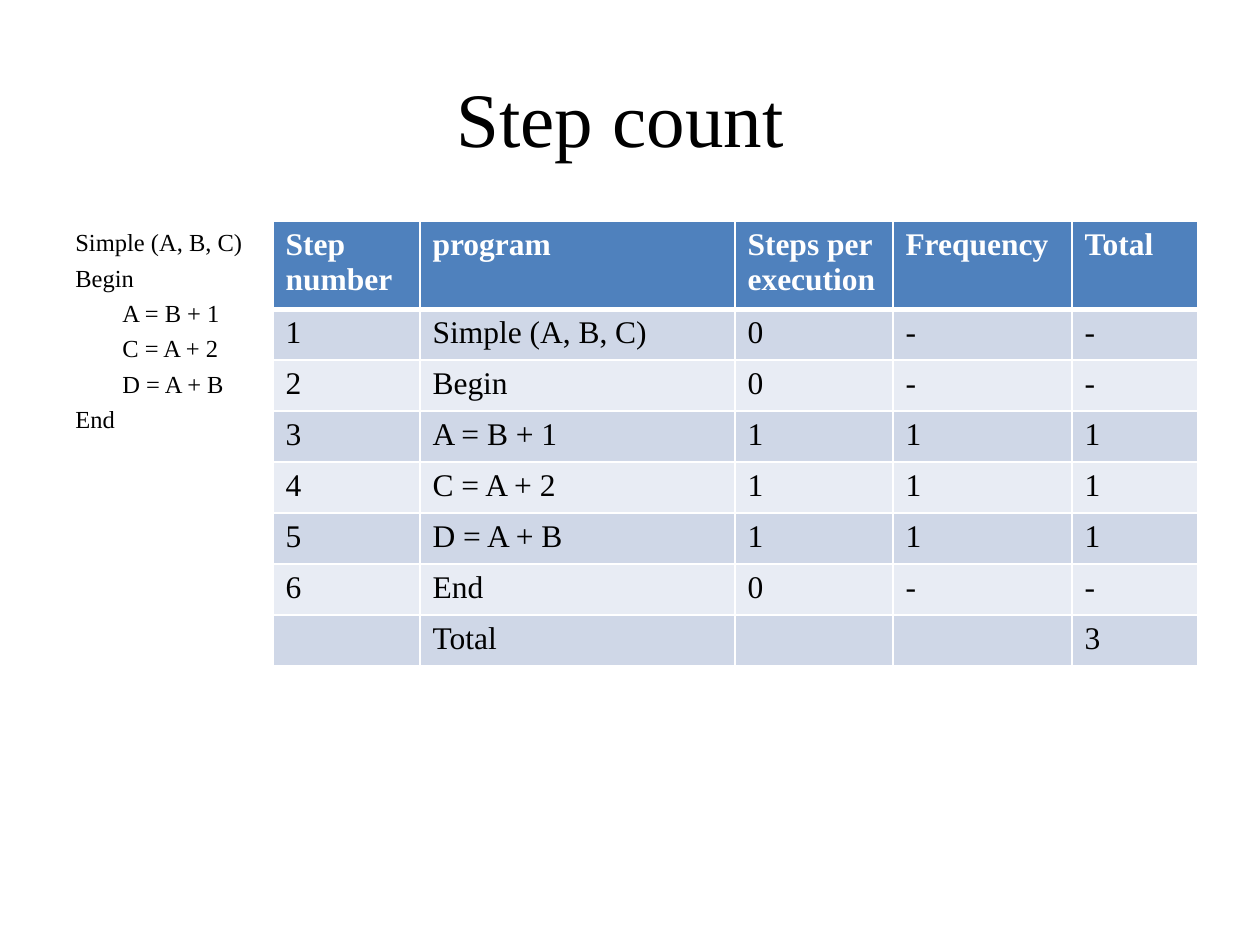
from dataclasses import dataclass

from lxml import etree
from pptx import Presentation
from pptx.dml.color import RGBColor
from pptx.enum.text import MSO_ANCHOR, PP_ALIGN
from pptx.oxml.ns import qn
from pptx.util import Emu, Pt

TOP, MIDDLE = MSO_ANCHOR.TOP, MSO_ANCHOR.MIDDLE
LEFT, CENTER = PP_ALIGN.LEFT, PP_ALIGN.CENTER


@dataclass(frozen=True)
class Theme:
    font: str = "Times New Roman"
    ink: str = "000000"
    white: str = "FFFFFF"
    head: str = "4F81BD"
    bands: tuple = ("CFD7E7", "E8ECF4")
    title: int = 44
    code: int = 14
    cell: int = 18
    rule: int = 1
    bold_rule: int = 3


THEME = Theme()

CODE = ["Simple (A, B, C)", "Begin", "\tA = B + 1", "\tC = A + 2",
        "\tD = A + B", "End"]
COLS = [147, 315, 158, 179, 126]
ROW = 51
ROWS = [
    ["Step number", "program", "Steps per execution", "Frequency", "Total"],
    ["1", "Simple (A, B, C)", "0", "-", "-"],
    ["2", "Begin", "0", "-", "-"],
    ["3", "A = B + 1", "1", "1", "1"],
    ["4", "C = A + 2", "1", "1", "1"],
    ["5", "D = A + B", "1", "1", "1"],
    ["6", "End", "0", "-", "-"],
    ["", "Total", "", "", "3"],
]


def px(n):
    return Emu(round(n * 914400 / 126))


def add_run(para, text, size, color=THEME.ink, bold=False):
    run = para.add_run()
    run.text = text
    font = run.font
    font.name, font.size, font.bold = THEME.font, Pt(size), bold
    font.color.rgb = RGBColor.from_string(color)


def add_text(slide, box, lines, size, align=LEFT, anchor=TOP, gap=0, hang=0):
    frame = slide.shapes.add_textbox(*map(px, box)).text_frame
    frame.word_wrap = True
    frame.vertical_anchor = anchor
    for i, line in enumerate(lines):
        para = frame.add_paragraph() if i else frame.paragraphs[0]
        para.alignment = align
        if i and gap:
            para.space_before = Pt(gap)
        if hang:
            props = para._p.get_or_add_pPr()
            props.set("marL", str(px(hang)))
            props.set("indent", str(-px(hang)))
        add_run(para, line, size)


def add_edges(cell, top, bottom):
    props = cell._tc.get_or_add_tcPr()
    widths = {"L": THEME.rule, "R": THEME.rule, "T": top, "B": bottom}
    for side, width in widths.items():
        line = etree.SubElement(props, qn(f"a:ln{side}"), w=str(Pt(width)))
        fill = etree.SubElement(line, qn("a:solidFill"))
        etree.SubElement(fill, qn("a:srgbClr"), val=THEME.white)


def fill_cell(cell, text, row):
    head = row == 0
    add_edges(cell,
              THEME.bold_rule if row == 1 else THEME.rule,
              THEME.bold_rule if head else THEME.rule)
    cell.fill.solid()
    shade = THEME.head if head else THEME.bands[(row - 1) % 2]
    cell.fill.fore_color.rgb = RGBColor.from_string(shade)
    if text:
        color = THEME.white if head else THEME.ink
        add_run(cell.text_frame.paragraphs[0], text, THEME.cell, color, head)


def add_grid(slide, left, top):
    size = (left, top, sum(COLS), ROW * len(ROWS))
    table = slide.shapes.add_table(
        len(ROWS), len(COLS), *map(px, size)).table
    for col, width in zip(table.columns, COLS):
        col.width = px(width)
    for r, texts in enumerate(ROWS):
        table.rows[r].height = px(ROW)
        for c, text in enumerate(texts):
            fill_cell(table.cell(r, c), text, r)


def main():
    deck = Presentation()
    deck.slide_width, deck.slide_height = px(1260), px(945)
    slide = deck.slides.add_slide(deck.slide_layouts[6])

    # Title
    add_text(slide, (63, 38, 1134, 158), ["Step count "], THEME.title,
             align=CENTER, anchor=MIDDLE)
    # Program listing
    add_text(slide, (63, 221, 252, 221), CODE, THEME.code, gap=3.4, hang=47)
    # Step table
    add_grid(slide, 273, 221)

    deck.save("out.pptx")


if __name__ == "__main__":
    main()
